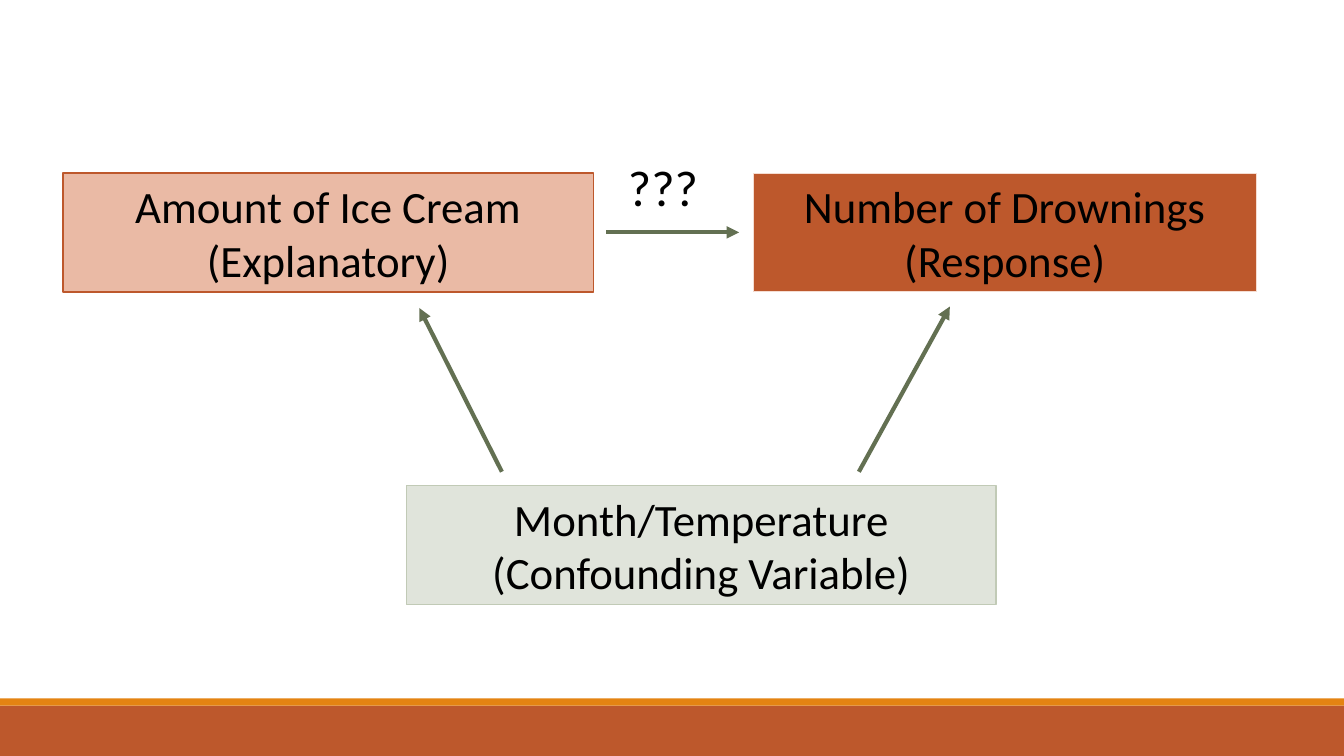
from dataclasses import dataclass

from lxml.etree import SubElement
from pptx import Presentation
from pptx.dml.color import RGBColor
from pptx.enum.shapes import MSO_CONNECTOR, MSO_SHAPE
from pptx.enum.text import MSO_ANCHOR, MSO_AUTO_SIZE, PP_ALIGN
from pptx.oxml.ns import qn
from pptx.util import Pt


@dataclass(frozen=True)
class Theme:
    font: str = "Calibri"
    text: str = "000000"
    rust: str = "BD582C"
    orange: str = "E48312"
    peach: str = "EABAA5"
    blush: str = "F5DDD2"
    sage: str = "E0E4DB"
    sage_edge: str = "C1CAB6"
    arrow: str = "637052"
    box_size: float = 32
    question_size: float = 36
    arrow_width: float = 3


def apply_format(target, values):
    for name, value in values.items():
        setattr(target, name, value)


class DiagramSlide:
    """Draws styled diagram elements on one slide, measured in points."""

    def __init__(self, slide, theme):
        self.slide = slide
        self.theme = theme

    def set_text(self, shape, lines, size, alignment, anchor):
        frame = shape.text_frame
        apply_format(frame, {
            "text": "\n".join(lines),
            "word_wrap": True,
            "auto_size": MSO_AUTO_SIZE.SHAPE_TO_FIT_TEXT,
            "vertical_anchor": anchor,
        })
        for paragraph in frame.paragraphs:
            paragraph.alignment = alignment
            apply_format(paragraph.runs[0].font, {"name": self.theme.font, "size": Pt(size)})
            paragraph.runs[0].font.color.rgb = RGBColor.from_string(self.theme.text)

    def bar(self, left, top, width, height, fill):
        shape = self.slide.shapes.add_shape(
            MSO_SHAPE.RECTANGLE, Pt(left), Pt(top), Pt(width), Pt(height))
        shape.shadow.inherit = False
        shape.fill.solid()
        shape.fill.fore_color.rgb = RGBColor.from_string(fill)
        shape.line.fill.background()
        return shape

    def variable_box(self, left, top, width, height, fill, edge, edge_width, lines):
        shape = self.bar(left, top, width, height, fill)
        shape.line.color.rgb = RGBColor.from_string(edge)
        shape.line.width = Pt(edge_width)
        self.set_text(shape, lines, self.theme.box_size, PP_ALIGN.CENTER, MSO_ANCHOR.MIDDLE)

    def arrow(self, start, end):
        connector = self.slide.shapes.add_connector(
            MSO_CONNECTOR.STRAIGHT, *(Pt(value) for value in (*start, *end)))
        connector.line.color.rgb = RGBColor.from_string(self.theme.arrow)
        connector.line.width = Pt(self.theme.arrow_width)
        properties = connector.element.spPr
        SubElement(properties.find(qn("a:ln")), qn("a:tailEnd"), type="triangle")
        SubElement(properties, qn("a:effectLst"))

    def label(self, left, top, width, height, text):
        shape = self.slide.shapes.add_textbox(Pt(left), Pt(top), Pt(width), Pt(height))
        self.set_text(shape, [text], self.theme.question_size, PP_ALIGN.LEFT, MSO_ANCHOR.TOP)


def main():
    theme = Theme()
    presentation = Presentation()
    apply_format(presentation, {"slide_width": Pt(960), "slide_height": Pt(540)})
    slide = presentation.slides.add_slide(presentation.slide_layouts[6])
    diagram = DiagramSlide(slide, theme)

    diagram.bar(0, 504, 960, 36, theme.rust)
    diagram.bar(0, 498.8, 960, 5.2, theme.orange)

    box_height, top_row, bottom_row = 84.8, 123.8, 347
    diagram.variable_box(45, top_row, 379, box_height, theme.peach, theme.rust, 1.25,
                         ["Amount of Ice Cream (Explanatory)"])
    diagram.variable_box(538.2, top_row, 359, box_height, theme.rust, theme.blush, 0.75,
                         ["Number of Drownings", "(Response)"])
    diagram.variable_box(290.5, bottom_row, 421, box_height, theme.sage, theme.sage_edge, 0.75,
                         ["Month/Temperature", "(Confounding Variable)"])

    for start, end in [
        ((358.5, 337), (299.5, 220)),
        ((613.5, 337), (678.5, 219)),
        ((433, 166), (528, 166)),
    ]:
        diagram.arrow(start, end)
    diagram.label(441.5, 108, 77, 51, "???")

    presentation.save("out.pptx")


if __name__ == "__main__":
    main()
